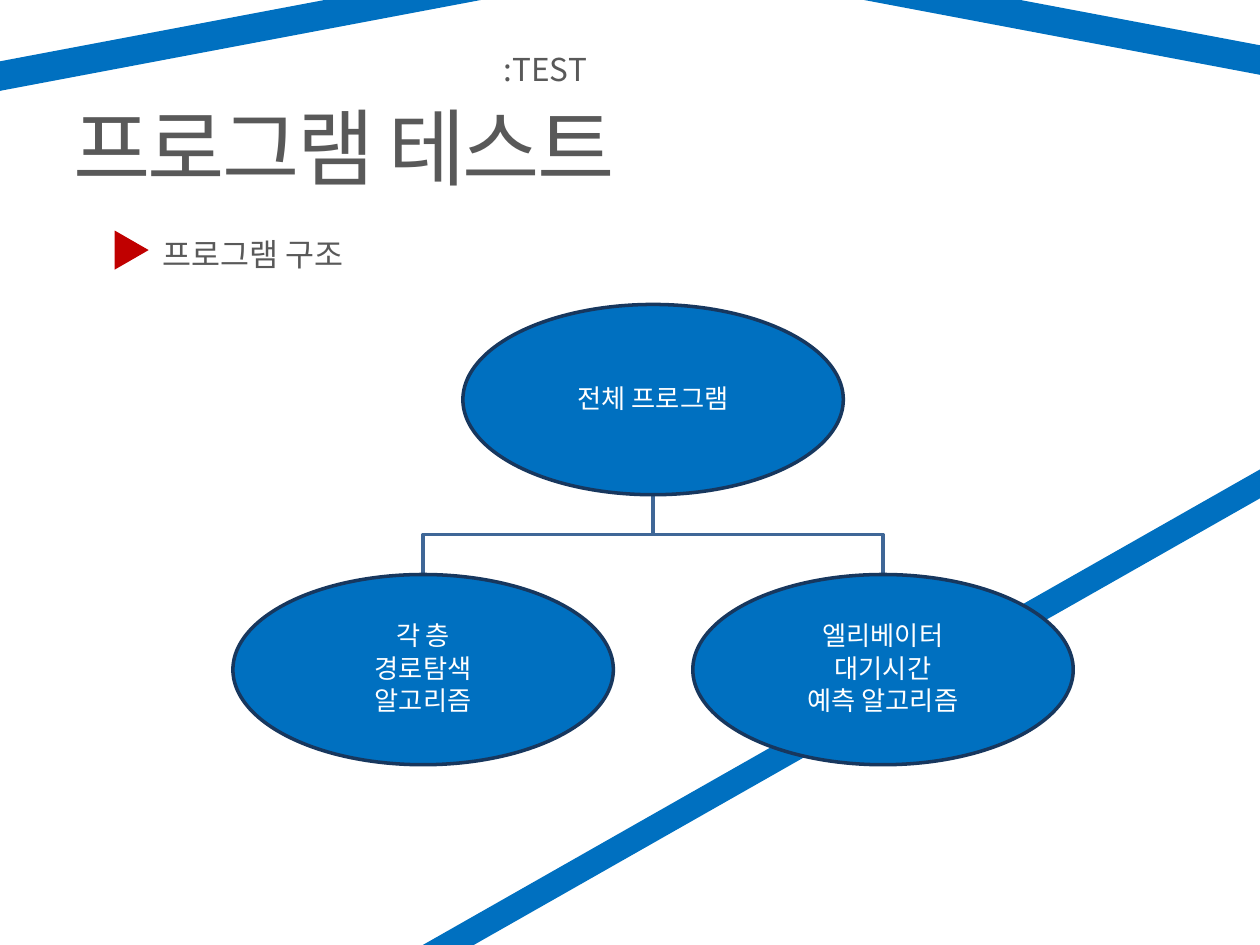
from pptx import Presentation
from pptx.dml.color import RGBColor
from pptx.enum.shapes import MSO_SHAPE
from pptx.enum.text import MSO_ANCHOR, PP_ALIGN
from pptx.oxml.ns import qn
from pptx.util import Pt

RECTANGLE = MSO_SHAPE.RECTANGLE
ELLIPSE = MSO_SHAPE.OVAL
TRIANGLE = MSO_SHAPE.ISOSCELES_TRIANGLE
LEFT, CENTER = PP_ALIGN.LEFT, PP_ALIGN.CENTER
TOP, MIDDLE = MSO_ANCHOR.TOP, MSO_ANCHOR.MIDDLE

FONT = "Noto Sans CJK KR"
COLORS = {
    "blue": "0070C0",
    "navy": "17375E",
    "link": "3F6797",
    "red": "C00000",
    "gray": "595959",
    "white": "FFFFFF",
}


def color(name):
    return RGBColor.from_string(COLORS[name])


def write_text(frame, text, size=18, ink="gray", align=LEFT, anchor=TOP,
               line_spacing=None, space_after=None, tracking=None):
    """Write one paragraph per line of text."""
    frame.word_wrap = True
    frame.vertical_anchor = anchor
    for index, line in enumerate(text.split("\n")):
        para = frame.add_paragraph() if index else frame.paragraphs[0]
        para.alignment = align
        if line_spacing is not None:
            para.line_spacing = line_spacing
        if space_after is not None:
            para.space_after = Pt(space_after)
        span = para.add_run()
        span.text = line
        span.font.size = Pt(size)
        span.font.name = FONT
        span.font.color.rgb = color(ink)
        properties = span.font._element
        east_asian = properties.makeelement(qn("a:ea"), {"typeface": FONT})
        properties.find(qn("a:latin")).addnext(east_asian)
        if tracking is not None:
            properties.set("spc", str(int(tracking * 100)))


class SlideBuilder:
    def __init__(self, deck):
        self.page = deck.slides.add_slide(deck.slide_layouts[5])
        self.line_width = 2

    def title(self, text, left, top, width, height, **style):
        box = self.page.shapes.title
        box.left, box.top = Pt(left), Pt(top)
        box.width, box.height = Pt(width), Pt(height)
        write_text(box.text_frame, text, **style)

    def label(self, text, left, top, width, height, **style):
        box = self.page.shapes.add_textbox(Pt(left), Pt(top), Pt(width), Pt(height))
        write_text(box.text_frame, text, **style)

    def shape(self, kind, left, top, width, height, fill, line=None, rotation=0):
        shape = self.page.shapes.add_shape(
            kind, Pt(left), Pt(top), Pt(width), Pt(height))
        shape.shadow.inherit = False
        shape.rotation = rotation
        shape.fill.solid()
        shape.fill.fore_color.rgb = color(fill)
        if line:
            shape.line.color.rgb = color(line)
            shape.line.width = Pt(self.line_width)
        else:
            shape.line.fill.background()
        return shape

    def bar(self, center_x, center_y, width, length, rotation):
        self.shape(RECTANGLE, center_x - width / 2, center_y - length / 2,
                   width, length, "blue", rotation=rotation)

    def node(self, text, center_x, top, width, height):
        shape = self.shape(ELLIPSE, center_x - width / 2, top, width, height,
                           "blue", line="navy")
        frame = shape.text_frame
        frame.margin_left = frame.margin_right = Pt(0.75)
        frame.margin_top = frame.margin_bottom = Pt(0.75)
        write_text(frame, text, size=15, ink="white", align=CENTER,
                   anchor=MIDDLE, line_spacing=0.9, space_after=2.2)

    def branch(self, from_x, from_y, to_x, to_y):
        middle = (from_y + to_y) / 2
        builder = self.page.shapes.build_freeform(Pt(from_x), Pt(from_y))
        builder.add_line_segments(
            [(Pt(from_x), Pt(middle)), (Pt(to_x), Pt(middle)), (Pt(to_x), Pt(to_y))],
            close=False)
        line = builder.convert_to_shape()
        line.shadow.inherit = False
        line.fill.background()
        line.line.color.rgb = color("link")
        line.line.width = Pt(self.line_width)


def main():
    deck = Presentation()
    deck.slide_width, deck.slide_height = Pt(720), Pt(540)
    slide = SlideBuilder(deck)

    # Background bars
    slide.bar(363.2, -33.1, 16.6, 737.3, 100.7)
    slide.bar(20.5, 39.6, 16.6, 737.3, 259.3)
    slide.bar(407.5, 454, 14.4, 743.8, 240.4)

    # Headings
    slide.title("프로그램 테스트", -127.4, 9.4, 648, 90, size=48, align=CENTER,
                anchor=MIDDLE, line_spacing=2.0, tracking=-1.5)
    slide.label(":TEST", 280.8, 25.2, 209.5, 29)
    slide.label("프로그램 구조", 85.7, 131, 390, 29)
    slide.shape(TRIANGLE, 64.1, 133.2, 22.3, 19.4, "red", rotation=90)

    # Program tree: one root above two evenly spread children
    node_width, node_height = 217.4, 108.7
    root_x, root_top, child_top, spread = 373.2, 174, 328.3, 131.4
    children = ["각 층\n경로탐색\n알고리즘", "엘리베이터\n대기시간\n예측 알고리즘"]
    child_centers = [root_x - spread, root_x + spread]
    for child_x in child_centers:
        slide.branch(root_x, root_top + node_height, child_x, child_top)
    slide.node("전체 프로그램", root_x, root_top, node_width, node_height)
    for text, child_x in zip(children, child_centers):
        slide.node(text, child_x, child_top, node_width, node_height)

    deck.save("out.pptx")


if __name__ == "__main__":
    main()
